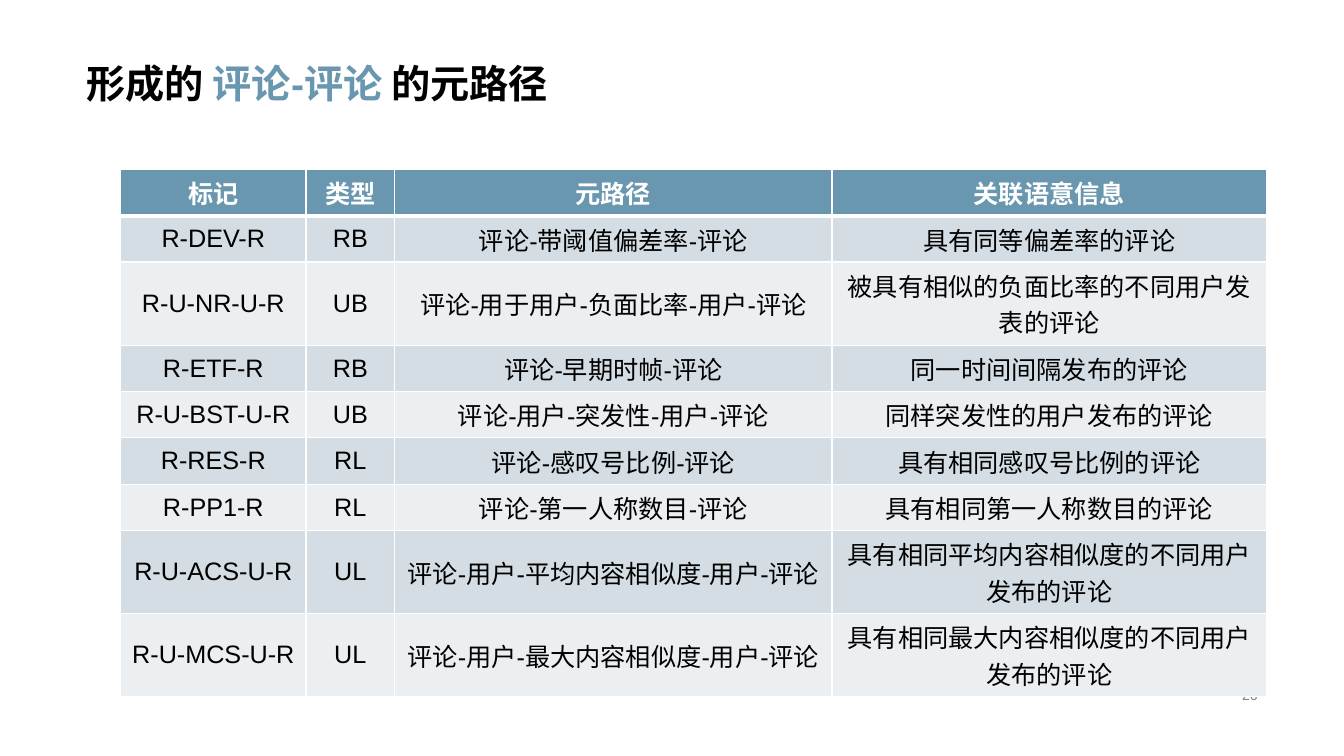
import pptx
import pptx.util
import pptx.dml.color
import pptx.enum.text
import pptx.oxml

Pt = pptx.util.Pt
RGB = pptx.dml.color.RGBColor
ANCHOR = pptx.enum.text.MSO_ANCHOR
ALIGN = pptx.enum.text.PP_ALIGN

BLACK = RGB(0x00, 0x00, 0x00)
WHITE = RGB(0xFF, 0xFF, 0xFF)
GRAY = RGB(0x80, 0x80, 0x80)
BLUE = RGB(0x69, 0x97, 0xAF)
DARK = RGB(0xD4, 0xDD, 0xE3)
LIGHT = RGB(0xEB, 0xEF, 0xF2)

# Content
TITLE = [("形成的 ", BLACK), ("评论-评论 ", BLUE), ("的元路径", BLACK)]
NUMBER = "26"
ROWS = [
    ("标记", "类型", "元路径", "关联语意信息"),
    ("R-DEV-R", "RB", "评论-带阈值偏差率-评论", "具有同等偏差率的评论"),
    ("R-U-NR-U-R", "UB", "评论-用于用户-负面比率-用户-评论",
     "被具有相似的负面比率的不同用户发表的评论"),
    ("R-ETF-R", "RB", "评论-早期时帧-评论", "同一时间间隔发布的评论"),
    ("R-U-BST-U-R", "UB", "评论-用户-突发性-用户-评论", "同样突发性的用户发布的评论"),
    ("R-RES-R", "RL", "评论-感叹号比例-评论", "具有相同感叹号比例的评论"),
    ("R-PP1-R", "RL", "评论-第一人称数目-评论", "具有相同第一人称数目的评论"),
    ("R-U-ACS-U-R", "UL", "评论-用户-平均内容相似度-用户-评论",
     "具有相同平均内容相似度的不同用户发布的评论"),
    ("R-U-MCS-U-R", "UL", "评论-用户-最大内容相似度-用户-评论",
     "具有相同最大内容相似度的不同用户发布的评论"),
]
WIDTHS = [132.4, 63.3, 312.4, 310.5]
SINGLE, DOUBLE = 33.1, 59.4  # heights of rows with one and two lines
LIMIT = 16  # characters that fit on one line of the last column


def style(run, size, color, bold=False):
    run.font.name = "Arial"
    run.font.size = Pt(size)
    run.font.bold = bold
    run.font.color.rgb = color


def border(cell, head, below):
    """White lines on all sides, thicker where the header meets the body."""
    props = cell._tc.get_or_add_tcPr()
    thick = {"B": head, "T": below}
    for side in "LRTB":
        width = Pt(3 if thick.get(side) else 1)
        props.append(pptx.oxml.parse_xml(
            f'<a:ln{side} xmlns:a="http://schemas.openxmlformats.org/drawingml/2006/main" '
            f'w="{width}"><a:solidFill><a:srgbClr val="{WHITE}"/></a:solidFill></a:ln{side}>'))


deck = pptx.Presentation()
deck.slide_width, deck.slide_height = Pt(960), Pt(540)
slide = deck.slides.add_slide(deck.slide_layouts[5])

# Title
title = slide.shapes.title
title.left, title.top, title.width, title.height = Pt(54.5), Pt(6), Pt(850.5), Pt(74)
frame = title.text_frame
frame.auto_size = pptx.enum.text.MSO_AUTO_SIZE.NONE
frame.vertical_anchor = ANCHOR.BOTTOM
line = frame.paragraphs[0]
line.alignment = ALIGN.LEFT
line.line_spacing = 0.9
for text, color in TITLE:
    run = line.add_run()
    run.text = text
    style(run, 28, color, True)

# Page number, behind the table
box = slide.shapes.add_textbox(Pt(678), Pt(488), Pt(227.5), Pt(16.5))
frame = box.text_frame
frame.word_wrap = True
frame.vertical_anchor = ANCHOR.MIDDLE
frame.text = NUMBER
frame.paragraphs[0].alignment = ALIGN.RIGHT
style(frame.paragraphs[0].runs[0], 10, GRAY)

# Table of meta-paths
heights = [DOUBLE if len(row[-1]) > LIMIT else SINGLE for row in ROWS]
table = slide.shapes.add_table(
    len(ROWS), len(WIDTHS), Pt(86.2), Pt(121),
    Pt(sum(WIDTHS)), Pt(sum(heights))).table
for col, width in zip(table.columns, WIDTHS):
    col.width = Pt(width)
for r, row in enumerate(ROWS):
    table.rows[r].height = Pt(heights[r])
    head = r == 0
    for c, text in enumerate(row):
        cell = table.cell(r, c)
        border(cell, head, r == 1)
        cell.fill.solid()
        cell.fill.fore_color.rgb = BLUE if head else DARK if r % 2 else LIGHT
        cell.vertical_anchor = ANCHOR.MIDDLE
        cell.text_frame.text = text
        line = cell.text_frame.paragraphs[0]
        line.alignment = ALIGN.CENTER
        style(line.runs[0], 18, WHITE if head else BLACK, head)

deck.save("out.pptx")
